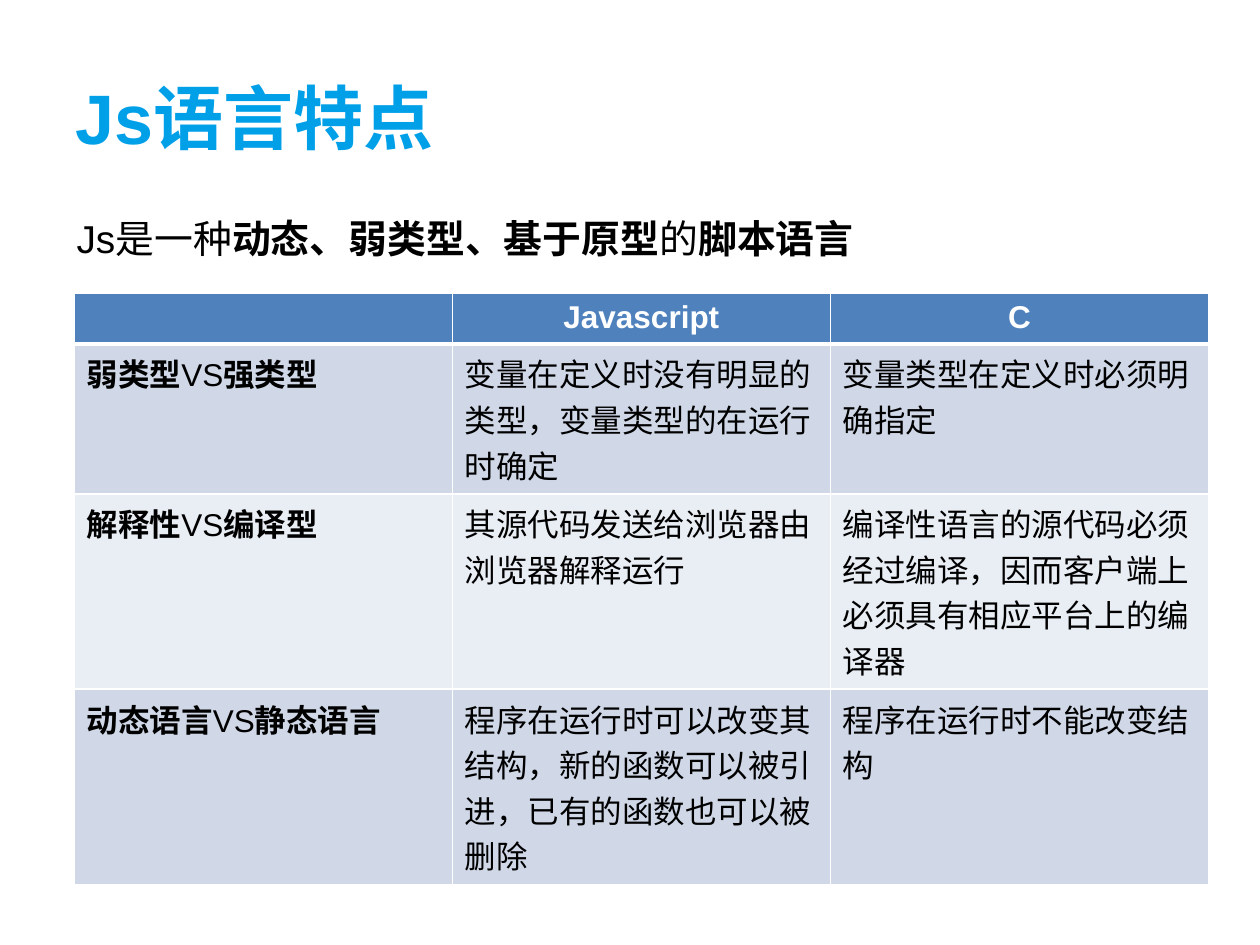
import pptx
import pptx.dml.color
import pptx.enum.text
import pptx.oxml.ns
import pptx.util
from lxml import etree

RGBColor = pptx.dml.color.RGBColor
Inches, Pt = pptx.util.Inches, pptx.util.Pt
PP_ALIGN, MSO_ANCHOR = pptx.enum.text.PP_ALIGN, pptx.enum.text.MSO_ANCHOR

SKY = RGBColor(0x00, 0xA0, 0xE9)
BLACK = RGBColor(0x00, 0x00, 0x00)
WHITE = RGBColor(0xFF, 0xFF, 0xFF)
HEADER_BLUE = RGBColor(0x4F, 0x81, 0xBD)
BANDS = [RGBColor(0xD0, 0xD8, 0xE8), RGBColor(0xE9, 0xED, 0xF4)]
FONT = "Arial"

# Content: a text is a list of (words, bold) pieces
HEADING = [("Js语言特点", True)]
SUMMARY = [("Js是一种", False), ("动态、弱类型、基于原型", True),
           ("的", False), ("脚本语言", True)]
LANGUAGES = ["", "Javascript", "C"]
COMPARISON = [
    (("弱类型", "强类型"),
     "变量在定义时没有明显的类型，变量类型的在运行时确定",
     "变量类型在定义时必须明确指定"),
    (("解释性", "编译型"),
     "其源代码发送给浏览器由浏览器解释运行",
     "编译性语言的源代码必须经过编译，因而客户端上必须具有相应平台上的编译器"),
    (("动态语言", "静态语言"),
     "程序在运行时可以改变其结构，新的函数可以被引进，已有的函数也可以被删除",
     "程序在运行时不能改变结构"),
]

# Layout in inches
SLIDE_W, SLIDE_H = 10, 7.5
CONTENT_W = 0.9 * SLIDE_W
ROW_HEIGHTS = [0.4, 1.19, 1.55, 1.55]  # header, three lines, four lines twice


def write(frame, pieces, size, color, align=PP_ALIGN.LEFT):
    paragraph = frame.paragraphs[0]
    paragraph.alignment = align
    for words, bold in pieces:
        run = paragraph.add_run()
        run.text = words
        run.font.name, run.font.size = FONT, Pt(size)
        run.font.bold, run.font.color.rgb = bold, color
    return paragraph


def draw_borders(cell, top, bottom):
    """White borders; they must come before the fill in the cell's XML."""
    qn = pptx.oxml.ns.qn
    properties = cell._tc.get_or_add_tcPr()
    for side, width in (("L", 1), ("R", 1), ("T", top), ("B", bottom)):
        line = etree.SubElement(properties, qn(f"a:ln{side}"), w=str(Pt(width)))
        fill = etree.SubElement(line, qn("a:solidFill"))
        etree.SubElement(fill, qn("a:srgbClr"), val=str(WHITE))


def main():
    deck = pptx.Presentation()
    deck.slide_width, deck.slide_height = Inches(SLIDE_W), Inches(SLIDE_H)
    slide = deck.slides.add_slide(deck.slide_layouts[5])

    # Title
    title = slide.shapes.title
    title.left, title.top = Inches(0.5), Inches(0.3)
    title.width, title.height = Inches(CONTENT_W), Inches(1.25)
    title.text_frame.vertical_anchor = MSO_ANCHOR.MIDDLE
    write(title.text_frame, HEADING, 40, SKY)

    # Summary sentence
    summary = slide.shapes.add_textbox(
        Inches(0.51), Inches(1.62), Inches(CONTENT_W), Inches(0.54))
    summary.text_frame.word_wrap = True
    sentence = write(summary.text_frame, SUMMARY, 22.2, BLACK)
    sentence.line_spacing = 1.1
    sentence.space_before = Pt(5)

    # Comparison table
    rows = [[[(name, True)] if name else [] for name in LANGUAGES]]
    for (ours, theirs), *details in COMPARISON:
        topic = [(ours, True), ("VS", False), (theirs, True)]
        rows.append([topic] + [[(detail, False)] for detail in details])

    table = slide.shapes.add_table(
        len(rows), len(LANGUAGES), Inches(0.59), Inches(2.33),
        Inches(CONTENT_W), Inches(sum(ROW_HEIGHTS))).table
    for r, row in enumerate(rows):
        header = r == 0
        table.rows[r].height = Inches(ROW_HEIGHTS[r])
        for c, pieces in enumerate(row):
            cell = table.cell(r, c)
            draw_borders(cell, top=3 if r == 1 else 1, bottom=3 if header else 1)
            cell.fill.solid()
            cell.fill.fore_color.rgb = HEADER_BLUE if header else BANDS[(r - 1) % 2]
            write(cell.text_frame, pieces, 18, WHITE if header else BLACK,
                  PP_ALIGN.CENTER if header else PP_ALIGN.LEFT)

    deck.save("out.pptx")


if __name__ == "__main__":
    main()
